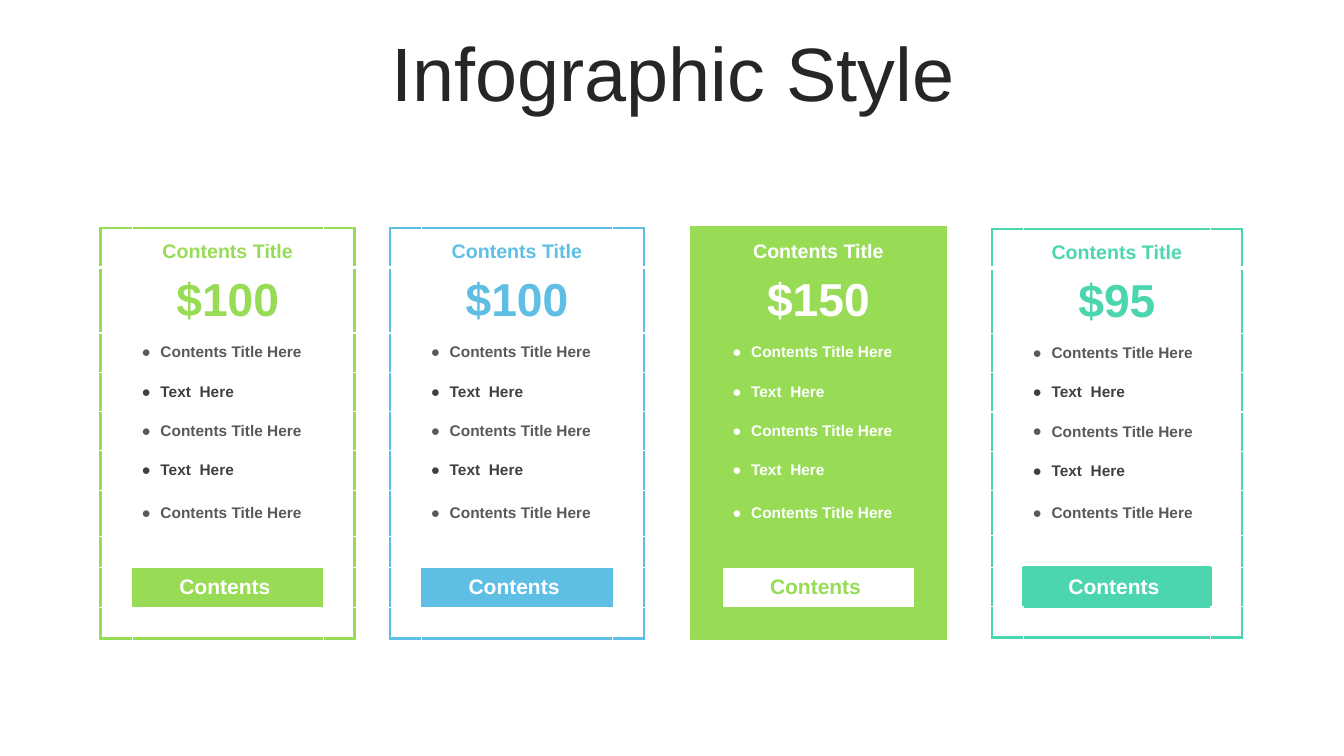
from dataclasses import dataclass

from lxml.etree import SubElement as Sub
from pptx import Presentation
from pptx.dml.color import RGBColor as RGB
from pptx.enum.text import MSO_ANCHOR as ANCHOR, PP_ALIGN as ALIGN
from pptx.oxml.ns import qn
from pptx.util import Pt


@dataclass(frozen=True)
class Theme:
    font: str = "Arial"
    green: str = "98DC56"
    blue: str = "5EBEE4"
    teal: str = "4CD6B0"
    white: str = "FFFFFF"
    ink: str = "262626"
    dark: str = "404040"
    grey: str = "595959"
    title: float = 54
    heading: float = 14
    price: float = 33
    item: float = 11
    button: float = 15
    empty: float = 8


@dataclass(frozen=True)
class Card:
    price: str
    color: str
    left: float
    top: float = 162.9
    width: float = 181.4
    row: float = 28.1
    gap: float = 33
    featured: bool = False
    button_line: bool = False


T = Theme()
ITEMS = ["Contents Title Here", "Text  Here"] * 2 + ["Contents Title Here"]
BUTTON = (8, 1)
LAST_ROW, LAST_COL = 9, 2
STEPS = {"L": (0, -1), "R": (0, 1), "T": (-1, 0), "B": (1, 0)}
CARDS = [
    Card("$100", T.blue, 278.6),
    Card("$95", T.teal, 708.5, top=163.6, width=178.6, row=28, gap=32.4, button_line=True),
    Card("$100", T.green, 72),
    Card("$150", T.green, 493.9, featured=True),
]


def write(tf, text, size, color, bold=True, align=ALIGN.CENTER, bullet=False, spacing=None):
    p = tf.paragraphs[0]
    p.alignment = align
    if spacing:
        p.line_spacing = spacing
    if bullet:
        pPr = p._p.get_or_add_pPr()
        pPr.set("marL", str(Pt(13.5)))
        pPr.set("indent", str(-Pt(13.5)))
        Sub(pPr, qn("a:buFont"), typeface=T.font)
        Sub(pPr, qn("a:buChar"), char="●")
    r = p.add_run()
    r.text = text
    r.font.name, r.font.size, r.font.bold = T.font, Pt(size), bold
    r.font.color.rgb = RGB.from_string(color)


def edge(card, row, col, side):
    """Return the (colour, width) of one cell side, or None for no line."""
    down, across = STEPS[side]
    beside = (row + down, col + across)
    if not (0 <= beside[0] <= LAST_ROW and 0 <= beside[1] <= LAST_COL):
        return card.color, 3 if card.featured else 2.25
    if card.featured:
        return None
    if BUTTON in ((row, col), beside):
        return (card.color, 2.25) if card.button_line else None
    return T.white, 3 if (row, side) == (0, "B") else 1


class Deck:
    def __init__(self, theme):
        self.theme = theme
        self.prs = Presentation()
        self.prs.slide_width, self.prs.slide_height = Pt(960), Pt(540)
        self.s = self.prs.slides.add_slide(self.prs.slide_layouts[6])

    def title(self, text):
        t = self.theme
        tf = self.s.shapes.add_textbox(Pt(25.2), Pt(26.6), Pt(911.5), Pt(56.9)).text_frame
        tf.word_wrap = True
        tf.vertical_anchor = ANCHOR.MIDDLE
        write(tf, text, t.title, t.ink, bold=False, spacing=0.9)

    def cell(self, cell, fill, edges, anchor=ANCHOR.MIDDLE):
        cell.vertical_anchor = anchor
        cell.margin_left = cell.margin_right = Pt(6.75)
        cell.margin_top = cell.margin_bottom = Pt(3.4)
        end = cell.text_frame.paragraphs[0]._p.get_or_add_endParaRPr()
        end.set("sz", str(int(self.theme.empty * 100)))
        tcPr = cell._tc.get_or_add_tcPr()
        for side, line in edges.items():
            color, width = line or (None, 0)
            ln = Sub(tcPr, qn(f"a:ln{side}"), w=str(Pt(width)))
            if color:
                Sub(Sub(ln, qn("a:solidFill")), qn("a:srgbClr"), val=color)
            else:
                Sub(ln, qn("a:noFill"))
        cell.fill.solid()
        cell.fill.fore_color.rgb = RGB.from_string(fill)

    def card(self, card):
        t = self.theme
        side = 22.4
        heights = [card.row, 46.8] + [card.row] * 4 + [card.gap, side, card.row, side]
        widths = [side, card.width - 2 * side, side]
        table = self.s.shapes.add_table(
            len(heights), len(widths), Pt(card.left), Pt(card.top),
            Pt(card.width), Pt(sum(heights))).table
        table.first_row = table.horz_banding = False
        for row, height in zip(table.rows, heights):
            row.height = Pt(height)
        for col, width in zip(table.columns, widths):
            col.width = Pt(width)

        back, front = (card.color, t.white) if card.featured else (t.white, card.color)
        for i in range(len(heights)):
            for j in range(len(widths)):
                self.cell(table.cell(i, j), front if (i, j) == BUTTON else back,
                          {k: edge(card, i, j, k) for k in STEPS},
                          ANCHOR.BOTTOM if i == 0 else ANCHOR.MIDDLE)

        write(table.cell(0, 1).text_frame, "Contents Title", t.heading, front)
        write(table.cell(1, 1).text_frame, card.price, t.price, front)
        for i, item in enumerate(ITEMS):
            color = t.white if card.featured else (t.grey, t.dark)[i % 2]
            write(table.cell(i + 2, 1).text_frame, item, t.item, color,
                  align=ALIGN.LEFT, bullet=True)
        write(table.cell(*BUTTON).text_frame, "Contents ", t.button, back)


def main():
    deck = Deck(T)
    deck.title("Infographic Style")
    for card in CARDS:
        deck.card(card)
    deck.prs.save("out.pptx")


if __name__ == "__main__":
    main()
